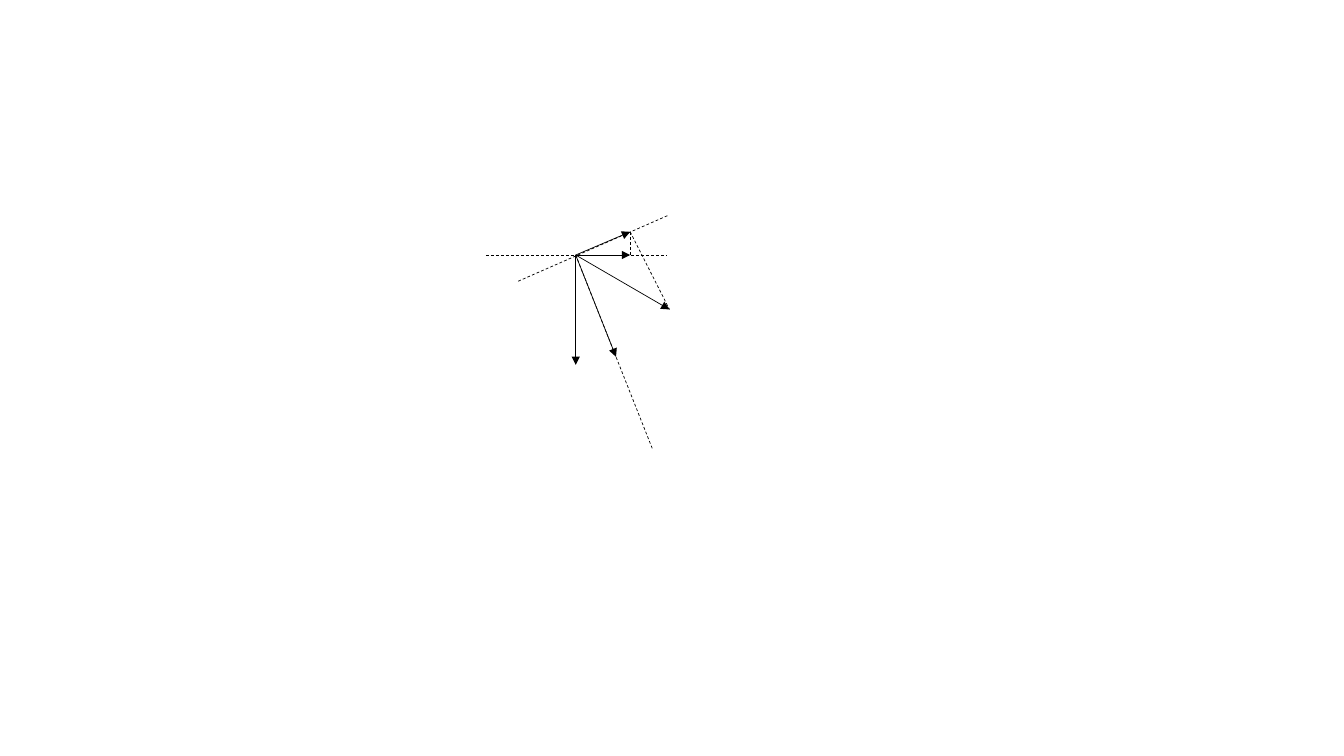
from dataclasses import dataclass

from lxml.etree import SubElement
from pptx import Presentation
from pptx.dml.color import RGBColor
from pptx.enum.dml import MSO_LINE_DASH_STYLE as Dash
from pptx.enum.shapes import MSO_CONNECTOR as Connector
from pptx.oxml.ns import qn
from pptx.util import Inches, Pt


@dataclass(frozen=True)
class Theme:
    ink: RGBColor = RGBColor(0, 0, 0)
    paper: RGBColor = RGBColor(255, 255, 255)
    stroke: Pt = Pt(0.5)


THEME = Theme()
COLUMNS, ROWS = 1333, 750
CELL = Inches(0.01)

ORIGIN = (571, 253)
DOWN_TIP = (571, 362)
STEEP_TIP = (611, 354)
STEEP_END = (647, 445)
SLANT_TIP = (664, 307)
RISING_START, RISING_END = (514, 279), (662, 214)
RISING_TIP = (625, 230)
LEVEL_START, LEVEL_END = (482, 253), (662, 253)
LEVEL_TIP = (625, 253)

GUIDES = [
    (ORIGIN, STEEP_END),
    (LEVEL_START, LEVEL_END),
    (RISING_START, RISING_END),
    (RISING_TIP, SLANT_TIP),
    (RISING_TIP, LEVEL_TIP),
]
VECTOR_TIPS = [STEEP_TIP, SLANT_TIP, DOWN_TIP, RISING_TIP, LEVEL_TIP]


def add_line(page, start, end):
    ends = [cells * CELL for cells in (*start, *end)]
    line = page.shapes.add_connector(Connector.STRAIGHT, *ends)
    line.line.color.rgb = THEME.ink
    line.line.width = THEME.stroke
    SubElement(line._element.spPr, qn("a:effectLst"))
    return line


def add_guide(page, start, end):
    add_line(page, start, end).line.dash_style = Dash.DASH


def add_vector(page, tip):
    vector = add_line(page, ORIGIN, tip)
    SubElement(vector.line._get_or_add_ln(), qn("a:tailEnd"), type="triangle")


def main():
    deck = Presentation()
    deck.slide_width, deck.slide_height = COLUMNS * CELL, ROWS * CELL
    page = deck.slides.add_slide(deck.slide_layouts[6])
    page.background.fill.solid()
    page.background.fill.fore_color.rgb = THEME.paper
    for start, end in GUIDES:
        add_guide(page, start, end)
    for tip in VECTOR_TIPS:
        add_vector(page, tip)
    deck.save("out.pptx")


if __name__ == "__main__":
    main()
